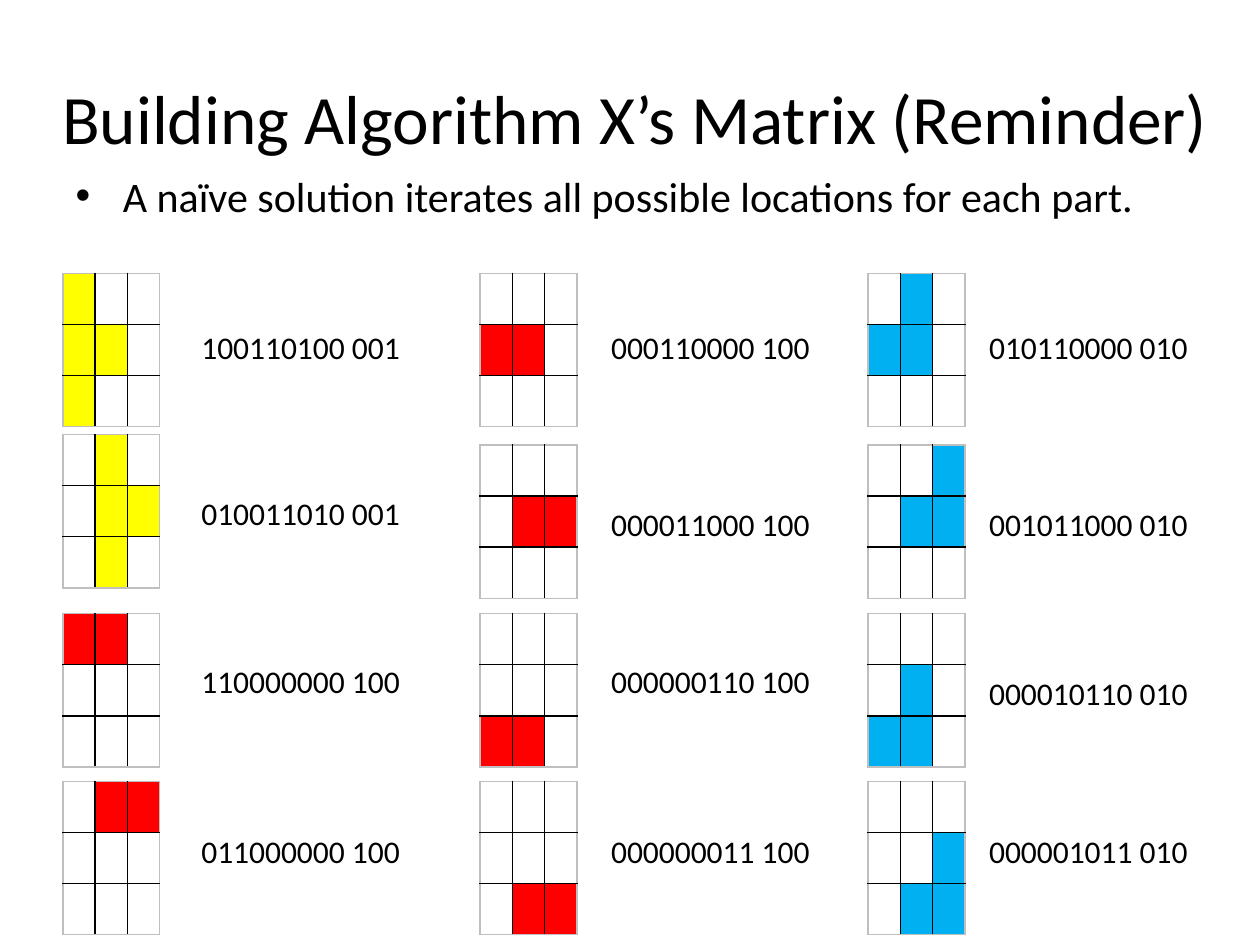
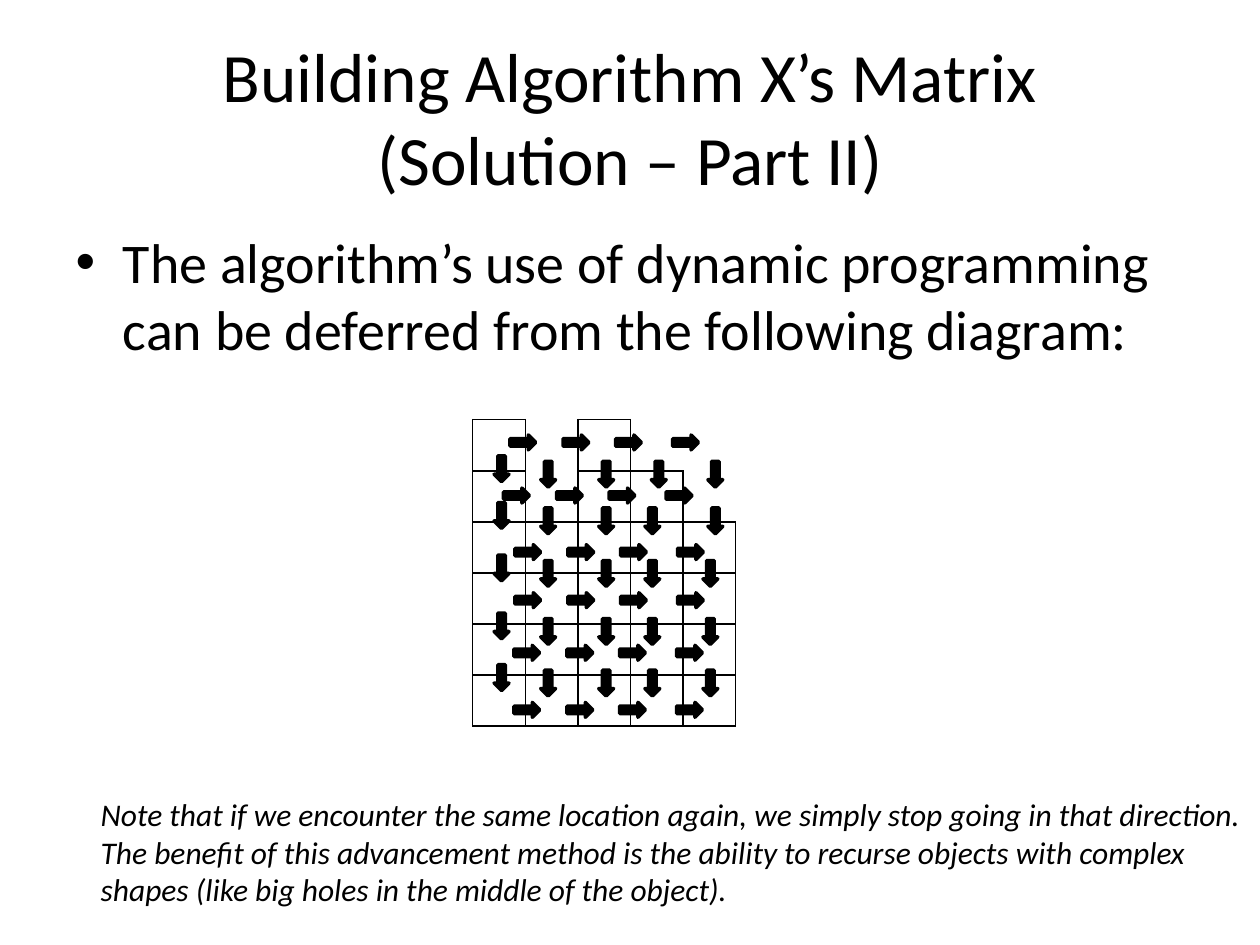
from dataclasses import dataclass
from itertools import product

from lxml.etree import SubElement
from pptx import Presentation
from pptx.dml.color import RGBColor
from pptx.enum.shapes import MSO_SHAPE as Preset
from pptx.enum.text import MSO_ANCHOR as Anchor, MSO_AUTO_SIZE as AutoSize, PP_ALIGN as Align
from pptx.oxml.ns import qn
from pptx.util import Cm, Pt


@dataclass(frozen=True)
class Theme:
    font: str = "Calibri"
    ink: str = "000000"
    paper: str = "FFFFFF"
    grid_edge: str = "BFBFBF"
    yellow: str = "FFFF00"
    red: str = "FF0000"
    blue: str = "00B0F0"
    title_size: float = 39.6
    lead_size: float = 32
    small_lead_size: float = 24
    text_size: float = 18
    rule: float = 1
    arrow_rule: float = 2


THEME = Theme()
PART_COLOURS = {"001": THEME.yellow, "100": THEME.red, "010": THEME.blue}
SIDES = {"L": "a:lnL", "R": "a:lnR", "T": "a:lnT", "B": "a:lnB"}

GRID_LEFTS = (1.27, 9.68, 17.5)
LABEL_LEFTS = (3.81, 12.07, 19.69)
GRID_TOPS = (5.51, 8.97, 12.37, 15.75)
LABEL_TOPS = (6.48, 10.06, 13.23, 16.64)
GRID_TOP_SHIFTS = {(0, 1): -0.21}
LABEL_TOP_SHIFTS = {(0, 1): -0.23, (2, 2): 0.23}
PLACEMENTS = (
    ("100110100 001", "010011010 001", "110000000 100", "011000000 100"),
    ("000110000 100", "000011000 100", "000000110 100", "000000011 100"),
    ("010110000 010", "001011000 010", "000010110 010", "000001011 010"),
)

BOARD_ROWS, BOARD_COLUMNS = 6, 5
HOLE_BORDERS = {(0, 1): "LRB", (0, 3): "LB", (1, 4): "LB"}
DOWN_LEFTS = (9.96, 10.9, 12.07, 13.0, 14.17)
DOWN_TOPS = (9.3, 10.24, 11.3, 12.47, 13.51)
DOWN_LEFT_SHIFTS = {(3, 0): 0.13, (4, 0): 0.1, (4, 1): 0.1}
RIGHT_STARTS = (10.39, 10.26, 10.49, 10.49, 10.47, 10.47)
RIGHT_TOPS = (8.66, 9.73, 10.87, 11.84, 12.9, 14.05)
RIGHT_STEPS = (0, 1.07, 2.13, 3.28)


def rgb(colour):
    return RGBColor.from_string(colour)


def place(shape, left, top, width, height):
    shape.left, shape.top = Cm(left), Cm(top)
    shape.width, shape.height = Cm(width), Cm(height)


def style_text(frame, size, italic=None):
    for paragraph in frame.paragraphs:
        for run in paragraph.runs:
            run.font.name = THEME.font
            run.font.size = Pt(size)
            run.font.italic = italic
            run.font.color.rgb = rgb(THEME.ink)


def add_titled_slide(deck, heading, heading_box, lead, lead_top, lead_size):
    slide = deck.slides.add_slide(deck.slide_layouts[1])
    title, body = slide.shapes.title, slide.placeholders[1]
    place(title, *heading_box)
    place(body, 1.27, lead_top, 22.86, 12.57)
    for holder, text, size in ((title, heading, THEME.title_size), (body, lead, lead_size)):
        frame = holder.text_frame
        frame.text = text
        frame.auto_size = AutoSize.NONE
        style_text(frame, size)
    title.text_frame.vertical_anchor = Anchor.MIDDLE
    title.text_frame.paragraphs[0].alignment = Align.CENTER
    return slide


def add_text(slide, text, box, wrap=True, italic=None):
    label = slide.shapes.add_textbox(*map(Cm, box))
    frame = label.text_frame
    frame.text = text
    frame.word_wrap = wrap
    frame.auto_size = AutoSize.SHAPE_TO_FIT_TEXT
    style_text(frame, THEME.text_size, italic)


def set_borders(cell, colours):
    properties = cell._tc.get_or_add_tcPr()
    for position, (side, tag) in enumerate(SIDES.items()):
        line = properties.makeelement(qn(tag), {"w": str(Pt(THEME.rule))})
        properties.insert(position, line)
        if colours.get(side):
            fill = SubElement(line, qn("a:solidFill"))
            SubElement(fill, qn("a:srgbClr"), val=colours[side])
        else:
            SubElement(line, qn("a:noFill"))


def add_grid(slide, rows, columns, left, top, cell_width, cell_height):
    frame = slide.shapes.add_table(
        rows, columns, Cm(left), Cm(top), Cm(cell_width * columns), Cm(cell_height * rows))
    grid = frame.table
    grid.first_row = grid.horz_banding = False
    for column in grid.columns:
        column.width = Cm(cell_width)
    for row in grid.rows:
        row.height = Cm(cell_height)
    for cell in grid.iter_cells():
        cell.margin_left = cell.margin_right = cell.margin_top = cell.margin_bottom = 0
    return grid


def fill_cell(cell, colour):
    if colour:
        cell.fill.solid()
        cell.fill.fore_color.rgb = rgb(colour)
    else:
        cell.fill.background()


def add_placement(slide, code, left, top):
    squares, part = code.split()
    grid = add_grid(slide, 3, 3, left, top, 0.65, 1.03)
    for row, column in product(range(3), repeat=2):
        cell = grid.cell(row, column)
        fill_cell(cell, PART_COLOURS[part] if squares[3 * row + column] == "1" else None)
        outer = {"L": column == 0, "R": column == 2, "T": row == 0, "B": row == 2}
        set_borders(cell, {side: THEME.grid_edge if edge else THEME.ink
                           for side, edge in outer.items()})


def add_board(slide):
    board = add_grid(slide, BOARD_ROWS, BOARD_COLUMNS, 9.53, 8.46, 1.06, 1.03)
    board.cell(0, 1).merge(board.cell(1, 1))
    board.cell(0, 3).merge(board.cell(0, 4))
    for row, column in product(range(BOARD_ROWS), range(BOARD_COLUMNS)):
        cell = board.cell(row, column)
        if cell.is_spanned:
            continue
        fill_cell(cell, THEME.paper)
        set_borders(cell, dict.fromkeys(HOLE_BORDERS.get((row, column), SIDES), THEME.ink))


def add_step_arrow(slide, left, top, rotation):
    arrow = slide.shapes.add_shape(Preset.UP_ARROW, Cm(left), Cm(top), Cm(0.3), Cm(0.52))
    arrow.rotation = rotation
    arrow.shadow.inherit = False
    arrow.fill.solid()
    arrow.fill.fore_color.rgb = rgb(THEME.ink)
    arrow.line.color.rgb = rgb(THEME.ink)
    arrow.line.width = Pt(THEME.arrow_rule)


def build_reminder(deck):
    slide = add_titled_slide(
        deck, "Building Algorithm X’s Matrix (Reminder)", (0.64, 0.76, 24.33, 3.18),
        "A naïve solution iterates all possible locations for each part.",
        3.3, THEME.small_lead_size)
    for column, codes in enumerate(PLACEMENTS):
        for row, code in enumerate(codes):
            spot = (column, row)
            add_placement(slide, code, GRID_LEFTS[column],
                          GRID_TOPS[row] + GRID_TOP_SHIFTS.get(spot, 0))
            label_top = LABEL_TOPS[row] + LABEL_TOP_SHIFTS.get(spot, 0)
            add_text(slide, code, (LABEL_LEFTS[column], label_top, 4.75, 1.02))


def build_solution(deck):
    slide = add_titled_slide(
        deck, "Building Algorithm X’s Matrix\v(Solution – Part II)", (1.27, 0.76, 22.86, 3.18),
        "The algorithm’s use of dynamic programming can be deferred from the following diagram:",
        4.45, THEME.lead_size)
    add_board(slide)
    for column, left in enumerate(DOWN_LEFTS):
        rise = 0.11 if column == 0 else 0
        for row, top in enumerate(DOWN_TOPS):
            shift = DOWN_LEFT_SHIFTS.get((column, row), 0)
            add_step_arrow(slide, left + shift, top - rise, 180)
    for start, top in zip(RIGHT_STARTS, RIGHT_TOPS):
        for step in RIGHT_STEPS:
            add_step_arrow(slide, start + step, top, 90)
    note = (
        "Note that if we encounter the same location again, we simply stop going in that direction.",
        "The benefit of this advancement method is the ability to recurse objects with complex",
        "shapes (like big holes in the middle of the object).",
    )
    add_text(slide, "\n".join(note), (1.78, 15.9, 23.83, 2.57), wrap=False, italic=True)


def main():
    deck = Presentation()
    deck.slide_width, deck.slide_height = Cm(25.4), Cm(19.05)
    build_reminder(deck)
    build_solution(deck)
    deck.save("out.pptx")


if __name__ == "__main__":
    main()
